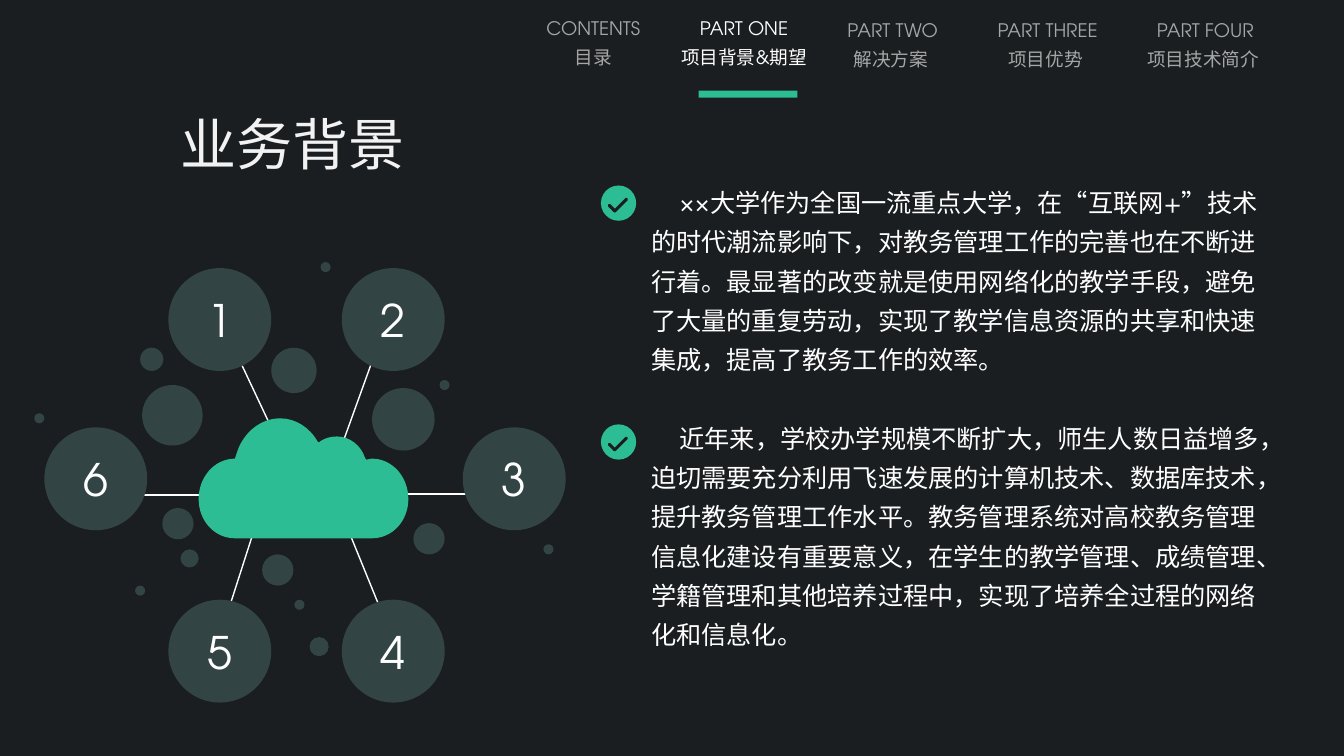
from lxml import etree
from pptx import Presentation
from pptx import util as u
from pptx.dml.color import RGBColor
from pptx.enum import shapes, text
from pptx.oxml.ns import qn

FONT = "TeX Gyre Adventor"
INK, GREEN, SLATE, WHITE, GREY = "1A1E21", "2CBD94", "324444", "FFFFFF", "A6A6A6"

TABS = [
    ("CONTENTS", "目录", 5.31, 0.05, 1.15),
    ("PART ONE", "项目背景&期望", 6.6, 0.05, 1.56),
    ("PART TWO", "解决方案 ", 8.22, 0.07, 1.27),
    ("PART THREE", "项目优势 ", 9.65, 0.07, 1.48),
    ("PART FOUR", "项目技术简介 ", 11.26, 0.07, 1.39),
]
CURRENT_TAB = "PART ONE"

BACKGROUND = [
    "××大学作为全国一流重点大学，在“互联网+”技术的时代潮流影响下，对教务管理工作的完善也在不断进行着。"
    "最显著的改变就是使用网络化的教学手段，避免了大量的重复劳动，实现了教学信息资源的共享和快速集成，"
    "提高了教务工作的效率。",
    "近年来，学校办学规模不断扩大，师生人数日益增多，迫切需要充分利用飞速发展的计算机技术、数据库技术，"
    "提升教务管理工作水平。教务管理系统对高校教务管理信息化建设有重要意义，在学生的教学管理、成绩管理、"
    "学籍管理和其他培养过程中，实现了培养全过程的网络化和信息化。",
]

NODE_SIZE = 1.02
NODES = [("1", 1.33, 0.06), ("2", 3.05, 0.06), ("3", 4.25, 1.64),
         ("4", 3.05, 3.35), ("5", 1.33, 3.35), ("6", 0.1, 1.64)]
SPOKES = [(2.03, 0.96, 2.35, 1.64), (3.41, 0.82, 3.05, 1.82), (0.87, 2.31, 1.79, 2.31),
          (3.51, 2.3, 4.43, 2.3), (1.84, 3.72, 2.18, 2.66), (3.51, 3.63, 3.05, 2.5)]
BUBBLES = {
    0.62: [(3.35, 1.25)],
    0.6: [(1.07, 1.22)],
    0.45: [(2.35, 0.85)],
    0.31: [(2.26, 2.9), (3.76, 2.59), (1.27, 2.44)],
    0.23: [(1.05, 0.85)],
    0.19: [(2.73, 3.72)],
    0.18: [(1.45, 2.85)],
    0.1: [(2.84, 0), (4.02, 1.17), (0, 1.5), (5.05, 2.8), (2.58, 3.35), (1, 3.21)],
}
CLOUD_START = (0.81, 0)
CLOUD = [
    [(0.96, 0), (1.1, 0.09), (1.18, 0.23)],
    [(1.19, 0.24)],
    [(1.24, 0.2), (1.3, 0.18), (1.37, 0.18)],
    [(1.5, 0.18), (1.61, 0.27), (1.65, 0.39)],
    [(1.66, 0.41)],
    [(1.72, 0.4)],
    [(1.92, 0.4), (2.08, 0.58), (2.08, 0.8)],
    [(2.08, 1.02), (1.92, 1.19), (1.72, 1.19)],
    [(0.36, 1.19)],
    [(0.16, 1.19), (0, 1.02), (0, 0.8)],
    [(0, 0.58), (0.16, 0.4), (0.36, 0.4)],
    [(0.39, 0.31)],
    [(0.46, 0.13), (0.62, 0), CLOUD_START],
]


def color(hex_code):
    """Turn a hex string into a colour."""
    return RGBColor.from_string(hex_code)


def inches(*lengths):
    """Convert several lengths at once."""
    return [u.Inches(length) for length in lengths]


def paint(shape, fill, line=None):
    """Give a shape a flat fill and an optional outline."""
    shape.shadow.inherit = False
    shape.fill.solid()
    shape.fill.fore_color.rgb = color(fill)
    if line:
        shape.line.color.rgb = color(line)
        shape.line.width = u.Pt(1.5)
    else:
        shape.line.fill.background()
    return shape


def write(paragraph, words, size, hex_code, align=None, spacing=None):
    """Add one styled run to a paragraph."""
    paragraph.alignment = align
    paragraph.line_spacing = spacing
    run = paragraph.add_run()
    run.text = words
    run.font.name = FONT
    run.font.size = u.Pt(size)
    run.font.color.rgb = color(hex_code)


def add_title(slide, left, top, width, height):
    """Place the slide title."""
    title = slide.shapes.title
    title.left, title.top, title.width, title.height = inches(left, top, width, height)
    frame = title.text_frame
    frame.auto_size = text.MSO_AUTO_SIZE.NONE
    frame.vertical_anchor = text.MSO_ANCHOR.TOP
    write(frame.paragraphs[0], "业务背景", 40, "F2F2F2", text.PP_ALIGN.RIGHT)


def add_navigation(slide):
    """Draw the section tabs and the bar under the current one."""
    for name, caption, left, top, width in TABS:
        frame = slide.shapes.add_textbox(*inches(left, top, width, 0.69)).text_frame
        frame.word_wrap = False
        shade = WHITE if name == CURRENT_TAB else GREY
        write(frame.paragraphs[0], name, 13.3, shade, text.PP_ALIGN.CENTER, 1.3)
        write(frame.add_paragraph(), caption, 13.3, shade, text.PP_ALIGN.CENTER, 1.3)
        if name == CURRENT_TAB:
            bar = inches(left + 0.33, top + 0.85, 0.98, 0.07)
            paint(slide.shapes.add_shape(shapes.MSO_SHAPE.RECTANGLE, *bar), GREEN)


def add_tick(slide, left, top):
    """Draw a round tick mark."""
    tick = slide.shapes.add_group_shape().shapes
    paint(tick.add_shape(shapes.MSO_SHAPE.OVAL, *inches(left, top, 0.35, 0.35)), GREEN)
    for dx, dy, length, angle in [(0.07, 0.22, 0.08, 45), (0.11, 0.19, 0.17, 315)]:
        stroke = tick.add_shape(shapes.MSO_SHAPE.RECTANGLE,
                                *inches(left + dx, top + dy, length, 0.01))
        paint(stroke, INK, INK).rotation = angle


def add_background_text(slide, left, top, width, height):
    """Write the ticked background paragraphs."""
    frame = slide.shapes.add_textbox(*inches(left, top, width, height)).text_frame
    frame.word_wrap = True
    for index, words in enumerate(BACKGROUND):
        paragraph = frame.add_paragraph() if index else frame.paragraphs[0]
        properties = paragraph._p.get_or_add_pPr()
        properties.set("marL", "0")
        properties.set("indent", str(u.Inches(0.28)))
        write(paragraph, words, 18, WHITE, spacing=1.3)
        if index:
            paragraph.space_before = u.Pt(28)
        add_tick(slide, left - 0.4, top + 0.12 + 2.37 * index)


def add_cloud(parts, left, top):
    """Draw the cloud, bending its curved segments."""
    start, *ends = [inches(left + x, top + y)
                    for x, y in [CLOUD_START] + [segment[-1] for segment in CLOUD]]
    builder = parts.build_freeform(*start)
    builder.add_line_segments(ends, close=True)
    cloud = paint(builder.convert_to_shape(), GREEN)
    for line, segment in zip(list(cloud._element.iter(qn("a:lnTo"))), CLOUD):
        if len(segment) == 3:
            line.tag = qn("a:cubicBezTo")
            for position, (x, y) in enumerate(segment[:2]):
                handle = etree.Element(qn("a:pt"), x=str(u.Inches(x)), y=str(u.Inches(y)))
                line.insert(position, handle)


def add_cloud_diagram(slide, left, top):
    """Draw the cloud with its spokes, numbered nodes and bubbles."""
    parts = slide.shapes.add_group_shape().shapes
    for x1, y1, x2, y2 in SPOKES:
        spoke = parts.add_connector(shapes.MSO_CONNECTOR.STRAIGHT,
                                    *inches(left + x1, top + y1, left + x2, top + y2))
        spoke.line.color.rgb = color(WHITE)
        spoke.line.width = u.Pt(1)
        etree.SubElement(spoke._element.spPr, qn("a:effectLst"))
    add_cloud(parts, left + 1.63, top + 1.55)
    for number, x, y in NODES:
        node = parts.add_shape(shapes.MSO_SHAPE.OVAL,
                               *inches(left + x, top + y, NODE_SIZE, NODE_SIZE))
        frame = paint(node, SLATE).text_frame
        frame.vertical_anchor = text.MSO_ANCHOR.MIDDLE
        write(frame.paragraphs[0], number, 32, WHITE, text.PP_ALIGN.CENTER)
    for size, places in BUBBLES.items():
        for x, y in places:
            paint(parts.add_shape(shapes.MSO_SHAPE.OVAL,
                                  *inches(left + x, top + y, size, size)), SLATE)


def main():
    """Build and save the slide."""
    deck = Presentation()
    deck.slide_width, deck.slide_height = inches(13.33, 7.5)
    slide = deck.slides.add_slide(deck.slide_layouts[5])
    slide.background.fill.solid()
    slide.background.fill.fore_color.rgb = color(INK)
    add_title(slide, 1.34, 1.04, 2.77, 0.77)
    add_navigation(slide)
    add_background_text(slide, 6.36, 1.72, 6.29, 4.82)
    add_cloud_diagram(slide, 0.34, 2.6)
    deck.save("out.pptx")


if __name__ == "__main__":
    main()
